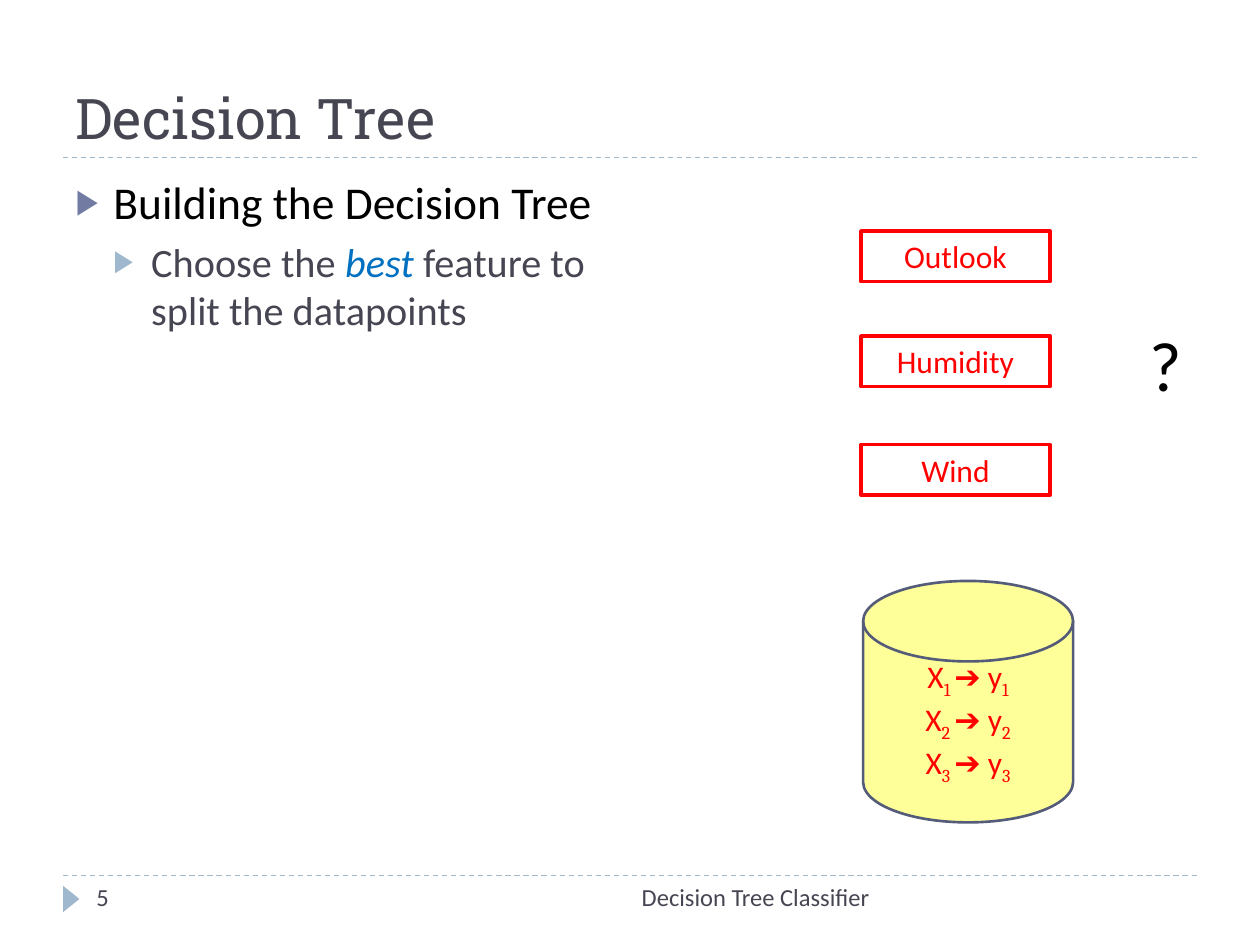
from dataclasses import dataclass

from lxml import etree
from pptx import Presentation
from pptx.dml.color import RGBColor
from pptx.enum.dml import MSO_LINE
from pptx.enum.shapes import MSO_CONNECTOR, MSO_SHAPE
from pptx.enum.text import MSO_ANCHOR, MSO_AUTO_SIZE, PP_ALIGN
from pptx.oxml.ns import qn
from pptx.util import Pt

STRAIGHT = MSO_CONNECTOR.STRAIGHT
RECTANGLE, DISK, TRIANGLE = (
    MSO_SHAPE.RECTANGLE, MSO_SHAPE.FLOWCHART_MAGNETIC_DISK, MSO_SHAPE.ISOSCELES_TRIANGLE)
LEFT, CENTER, RIGHT = PP_ALIGN.LEFT, PP_ALIGN.CENTER, PP_ALIGN.RIGHT
TOP, MIDDLE, BOTTOM = MSO_ANCHOR.TOP, MSO_ANCHOR.MIDDLE, MSO_ANCHOR.BOTTOM

COLORS = {
    "slate": "464653", "pale_blue": "9FB8CD", "indigo": "727CA3", "disk_edge": "545C79",
    "red": "FF0000", "blue": "0070C0", "yellow": "FFFF00", "black": "000000",
}


@dataclass
class Box:
    left: float
    top: float
    width: float
    height: float

    def lengths(self) -> list:
        return [Pt(v) for v in (self.left, self.top, self.width, self.height)]


@dataclass
class Style:
    size: float
    color: str
    name: str = "Calibri"
    italic: bool = False


@dataclass
class Label:
    text: str
    box: Box
    style: Style
    align: PP_ALIGN


@dataclass
class Bullet:
    level: int
    color: str
    space_before: float
    runs: list


def rgb(color: str) -> RGBColor:
    return RGBColor.from_string(COLORS[color])


def add_run(paragraph, text: str, style: Style, baseline: int = 0) -> None:
    run = paragraph.add_run()
    run.text = text
    formats = {"size": Pt(style.size), "name": style.name, "italic": style.italic}
    for attribute, value in formats.items():
        setattr(run.font, attribute, value)
    run.font.color.rgb = rgb(style.color)
    if baseline:
        run.font._element.set("baseline", str(baseline * 1000))


def format_frame(frame, anchor: MSO_ANCHOR) -> None:
    formats = {"word_wrap": True, "auto_size": MSO_AUTO_SIZE.NONE, "vertical_anchor": anchor}
    for attribute, value in formats.items():
        setattr(frame, attribute, value)


def place(shape, box: Box) -> None:
    for attribute, value in zip(("left", "top", "width", "height"), box.lengths()):
        setattr(shape, attribute, value)


def write_label(shape, label: Label, anchor: MSO_ANCHOR = TOP) -> None:
    format_frame(shape.text_frame, anchor)
    paragraph = shape.text_frame.paragraphs[0]
    paragraph.alignment = label.align
    add_run(paragraph, label.text, label.style)


def add_rule(slide, y: float) -> None:
    rule = slide.shapes.add_connector(STRAIGHT, Pt(36), Pt(y), Pt(684), Pt(y))
    rule.line.color.rgb = rgb("pale_blue")
    rule.line.width = Pt(0.75)
    rule.line.dash_style = MSO_LINE.DASH
    etree.SubElement(rule._element.spPr, qn("a:effectLst"))


def add_feature(slide, label: Label) -> None:
    feature = slide.shapes.add_shape(RECTANGLE, *label.box.lengths())
    feature.shadow.inherit = False
    feature.fill.background()
    feature.line.color.rgb = rgb("red")
    feature.line.width = Pt(2)
    write_label(feature, label)


def add_bullet(paragraph, bullet: Bullet) -> None:
    paragraph.level = bullet.level
    paragraph.alignment = LEFT
    paragraph.space_before = Pt(bullet.space_before)
    properties = paragraph._p.get_or_add_pPr()
    properties.set("marL", str(Pt(21.6 * (bullet.level + 1))))
    properties.set("indent", str(-Pt(21.6)))
    bullet_color = etree.SubElement(properties, qn("a:buClr"))
    etree.SubElement(bullet_color, qn("a:srgbClr"), val=COLORS[bullet.color])
    etree.SubElement(properties, qn("a:buSzPct"), val="76000")
    etree.SubElement(properties, qn("a:buChar"), char="▶")
    for text, style in bullet.runs:
        add_run(paragraph, text, style)


def add_dataset(slide, box: Box, count: int) -> None:
    """Draw the store of datapoints, one line for each pair of X and y."""
    disk = slide.shapes.add_shape(DISK, *box.lengths())
    disk.shadow.inherit = False
    disk.fill.solid()
    disk.fill.fore_color.rgb = rgb("yellow")
    fill_color = disk._element.spPr.find(qn("a:solidFill"))[0]
    etree.SubElement(fill_color, qn("a:alpha"), val="40000")
    disk.line.color.rgb = rgb("disk_edge")
    disk.line.width = Pt(1.5)
    frame = disk.text_frame
    format_frame(frame, MIDDLE)
    symbol, subscript = Style(18, "red"), Style(18, "red", "Cambria")
    for number in range(1, count + 1):
        pair = frame.paragraphs[0] if number == 1 else frame.add_paragraph()
        pair.alignment = CENTER
        add_run(pair, "X", symbol)
        add_run(pair, f"{number} ", subscript, -25)
        add_run(pair, "➔ y", symbol)
        add_run(pair, str(number), subscript, -25)


def main() -> None:
    presentation = Presentation()
    presentation.slide_width, presentation.slide_height = Pt(720), Pt(540)
    slide = presentation.slides.add_slide(presentation.slide_layouts[1])

    for y in (500.4, 90):
        add_rule(slide, y)
    marker = slide.shapes.add_shape(TRIANGLE, *Box(33.12, 509.04, 15.12, 9.36).lengths())
    marker.rotation = 90
    marker.shadow.inherit = False
    marker.fill.solid()
    marker.fill.fore_color.rgb = rgb("pale_blue")
    marker.line.fill.background()

    title = Label("Decision Tree", Box(36, 18, 648, 72), Style(32, "slate", "Roboto Slab"), LEFT)
    place(slide.shapes.title, title.box)
    write_label(slide.shapes.title, title, BOTTOM)

    detail = Style(23, "slate")
    bullets = [
        Bullet(0, "indigo", 0, [("Building the Decision Tree", Style(26, "black"))]),
        Bullet(1, "pale_blue", 5, [
            ("Choose the ", detail),
            ("best ", Style(23, "blue", italic=True)),
            ("feature to split the datapoints", detail),
        ]),
    ]
    body = slide.placeholders[1]
    place(body, Box(36, 95.76, 344.16, 388.8))
    format_frame(body.text_frame, TOP)
    for index, bullet in enumerate(bullets):
        frame = body.text_frame
        add_bullet(frame.add_paragraph() if index else frame.paragraphs[0], bullet)

    small = Style(14, "slate")
    labels = [
        Label("Decision Tree Classifier", Box(228, 500.4, 276, 28.8), small, RIGHT),
        Label("5", Box(48, 500.4, 156, 28.8), small, LEFT),
        Label("?", Box(636, 180, 60, 55.44), Style(40, "black"), CENTER),
    ]
    for label in labels:
        write_label(slide.shapes.add_textbox(*label.box.lengths()), label)

    for name, top in (("Outlook", 132), ("Humidity", 192), ("Wind", 254)):
        add_feature(slide, Label(name, Box(492, top, 108, 29), Style(18, "red"), CENTER))
    add_dataset(slide, Box(493.2, 332, 120, 138), 3)

    presentation.save("out.pptx")


if __name__ == "__main__":
    main()
